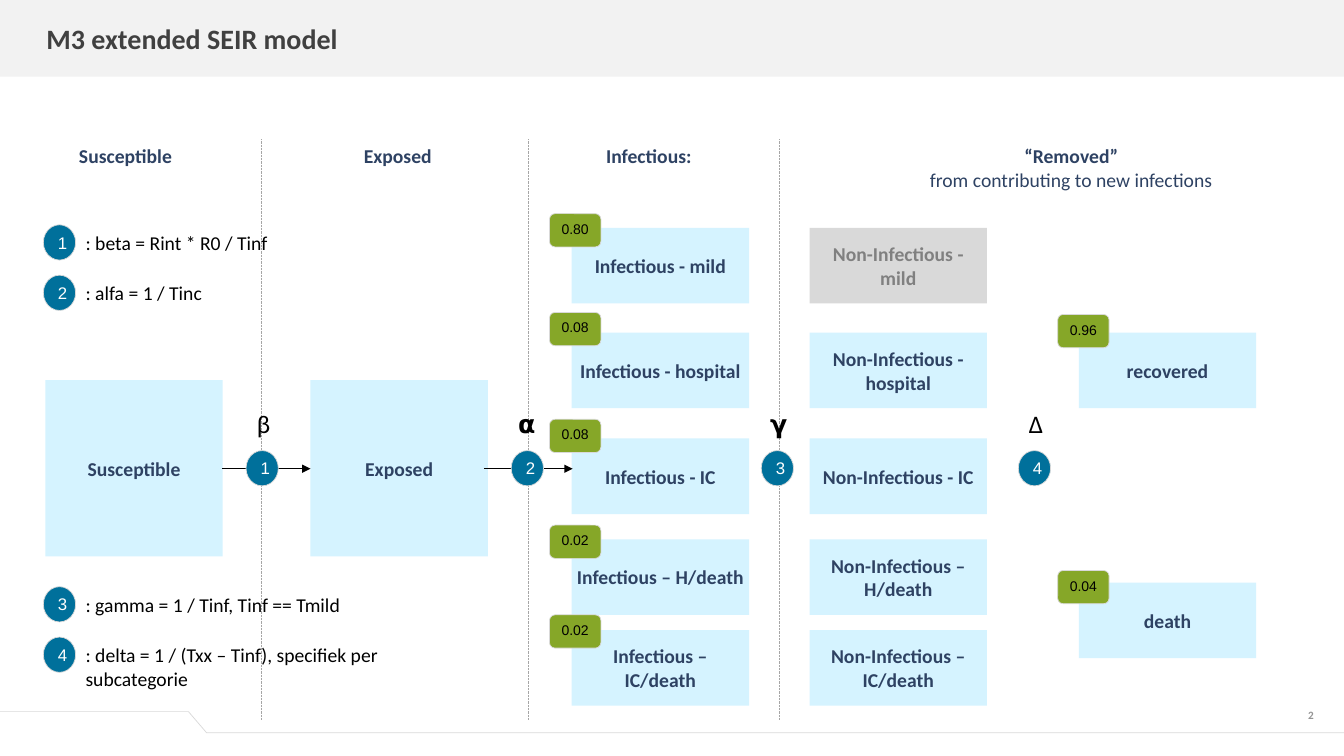
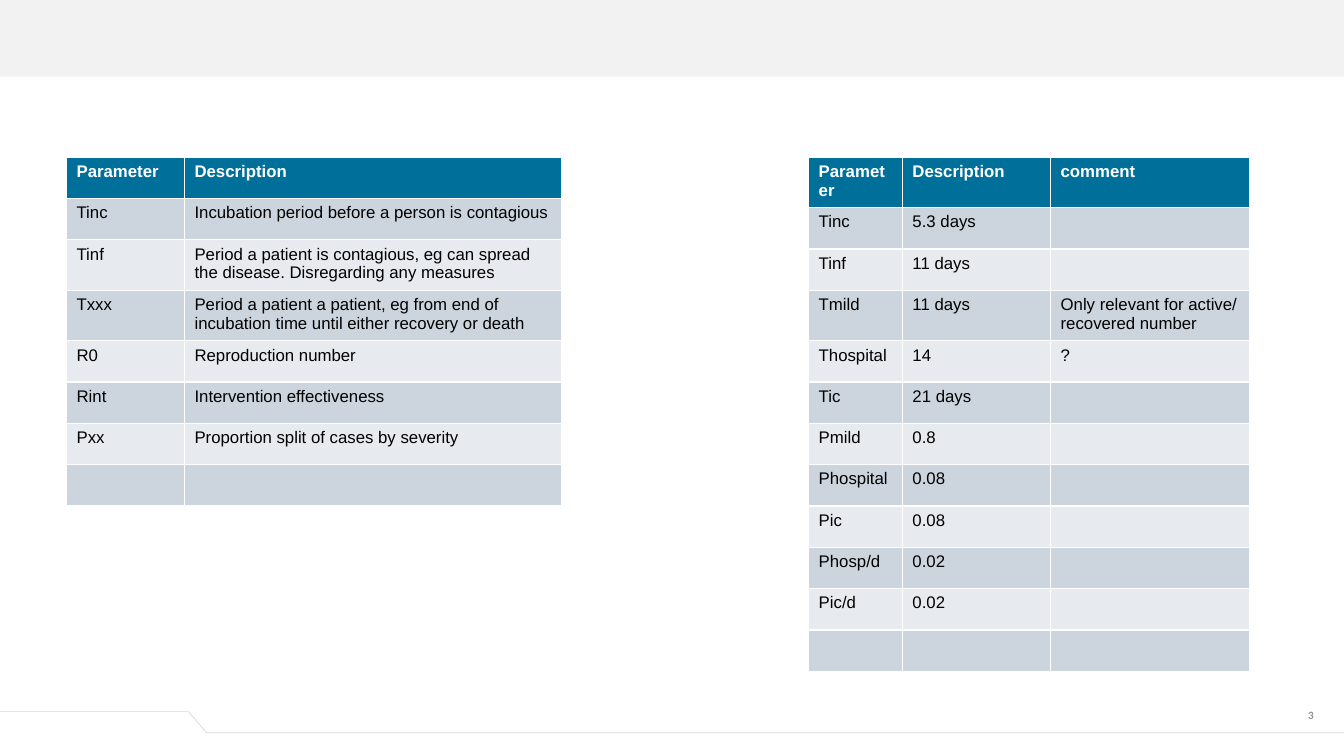
from dataclasses import dataclass

from lxml import etree
from pptx import Presentation
from pptx.dml.color import RGBColor
from pptx.enum.dml import MSO_LINE
from pptx.enum.shapes import MSO_CONNECTOR, MSO_SHAPE as Preset
from pptx.enum.text import MSO_ANCHOR as Anchor, PP_ALIGN as Align
from pptx.oxml.ns import qn
from pptx.util import Inches, Pt


@dataclass(frozen=True)
class Theme:
    white: RGBColor = RGBColor.from_string("FFFFFF")
    black: RGBColor = RGBColor.from_string("000000")
    band: RGBColor = RGBColor.from_string("F2F2F2")
    rule: RGBColor = RGBColor.from_string("D9D9D9")
    divider: RGBColor = RGBColor.from_string("A6A6A6")
    title: RGBColor = RGBColor.from_string("404040")
    number: RGBColor = RGBColor.from_string("949494")
    navy: RGBColor = RGBColor.from_string("2E4263")
    muted: RGBColor = RGBColor.from_string("808080")
    pale: RGBColor = RGBColor.from_string("D5F3FF")
    teal: RGBColor = RGBColor.from_string("00709B")
    green: RGBColor = RGBColor.from_string("86A728")
    odd_row: RGBColor = RGBColor.from_string("CCD5DE")
    even_row: RGBColor = RGBColor.from_string("E7EBEF")
    heading_font: str = "Calibri"
    body_font: str = "Arial"
    title_size: int = 20
    symbol_size: int = 18
    label_size: int = 14
    small_size: int = 12
    badge_size: int = 10
    number_size: int = 8
    thin: float = 0.5


theme = Theme()


@dataclass(frozen=True)
class Look:
    size: int
    color: RGBColor
    font: str = theme.heading_font
    bold: bool = False
    align: Align = Align.CENTER
    anchor: Anchor = Anchor.TOP
    margins: tuple = (0.1, 0.05, 0.1, 0.05)
    preset: Preset = None
    fill: RGBColor = None
    line: RGBColor = None


COMPARTMENT = dict(size=theme.label_size, bold=True, anchor=Anchor.MIDDLE,
                   margins=(0.04,) * 4, preset=Preset.RECTANGLE)
state_look = Look(color=theme.navy, fill=theme.pale, **COMPARTMENT)
muted_look = Look(color=theme.muted, fill=theme.rule, **COMPARTMENT)
heading_look = Look(theme.label_size, theme.navy, bold=True)
formula_look = Look(theme.label_size, theme.black, align=Align.LEFT)
symbol_look = Look(theme.symbol_size, theme.black)
circle_look = Look(theme.small_size, theme.white, theme.body_font, anchor=Anchor.MIDDLE,
                   preset=Preset.OVAL, fill=theme.teal, line=theme.rule)
badge_look = Look(theme.badge_size, theme.black, theme.body_font,
                  preset=Preset.ROUNDED_RECTANGLE, fill=theme.green, line=theme.rule)
number_look = Look(theme.number_size, theme.number, bold=True, align=Align.RIGHT,
                   margins=(0.1, 0.05, 0, 0.05))
band_look = Look(theme.label_size, theme.black, preset=Preset.RECTANGLE, fill=theme.band)


def add_box(slide, look, place, text=""):
    """Add a text box or preset shape and return its paragraph."""
    place = [Inches(value) for value in place]
    if look.preset is None:
        box = slide.shapes.add_textbox(*place)
    else:
        box = slide.shapes.add_shape(look.preset, *place)
        box.shadow.inherit = False
        box.fill.solid()
        box.fill.fore_color.rgb = look.fill
        if look.line is None:
            box.line.fill.background()
        else:
            box.line.color.rgb = look.line
            box.line.width = Pt(theme.thin)
    frame = box.text_frame
    frame.word_wrap = True
    frame.vertical_anchor = look.anchor
    (frame.margin_left, frame.margin_top,
     frame.margin_right, frame.margin_bottom) = map(Inches, look.margins)
    para = frame.paragraphs[0]
    para.text = text
    para.alignment = look.align
    para.font.name = look.font
    para.font.size = Pt(look.size)
    para.font.bold = look.bold
    para.font.color.rgb = look.color
    return para


def add_line(slide, start, end, color):
    """Add a thin straight connector without a shadow."""
    line = slide.shapes.add_connector(MSO_CONNECTOR.STRAIGHT, *map(Inches, start + end))
    line.line.color.rgb = color
    line.line.width = Pt(theme.thin)
    etree.SubElement(line.element.spPr, qn("a:effectLst"))
    return line


deck = Presentation()
deck.slide_width, deck.slide_height = Inches(13.33), Inches(7.5)
layout = deck.slide_layouts.get_by_name("Title Only")
model, parameters = [deck.slides.add_slide(layout) for _ in range(2)]

# Shared layout: title place, header band and footer outline
layout_title = layout.placeholders[0]
layout_title.left, layout_title.top = Inches(0.36), Inches(0)
layout_title.width, layout_title.height = Inches(12.03), Inches(0.76)

add_box(model, band_look, (0, 0, 13.33, 0.76))
builder = model.shapes.build_freeform(Inches(-0.04), Inches(7.06))
builder.add_line_segments(
    [(Inches(x), Inches(y)) for x, y in [(1.87, 7.06), (2.05, 7.27), (13.33, 7.27)]],
    close=False)
outline = builder.convert_to_shape()
outline.shadow.inherit = False
outline.fill.background()
outline.line.color.rgb = theme.rule
outline.line.width = Pt(theme.thin)
for position, shape in enumerate(list(model.shapes)[1:], start=2):
    layout.shapes.element.insert(position, shape.element)

# Page numbers
for number, slide in enumerate((model, parameters), start=2):
    add_box(slide, number_look, (12.29, 6.98, 0.74, 0.3), str(number))

# Model slide: title
title = model.shapes.title
title.text = "M3 extended SEIR model"
title_para = title.text_frame.paragraphs[0]
title_para.alignment = Align.LEFT
title_para.font.name = theme.heading_font
title_para.font.size = Pt(theme.title_size)
title_para.font.bold = True
title_para.font.color.rgb = theme.title

# Column dividers and headings
for x in (2.59, 5.24, 7.73):
    divider = add_line(model, (x, 1.38), (x, 7.14), theme.divider)
    divider.line.dash_style = MSO_LINE.ROUND_DOT

for x, width, text in [(0.45, 1.59, "Susceptible"), (3.15, 1.59, "Exposed"),
                       (5.64, 1.59, "Infectious:"), (9.01, 3.23, "“Removed”")]:
    heading = add_box(model, heading_look, (x, 1.38, width, 0.39), text)
heading.add_line_break()
span = heading.add_run()
span.text = "from contributing to new infections"
span.font.bold = False

# Compartments
for x, text in [(0.45, "Susceptible"), (3.08, "Exposed")]:
    add_box(model, state_look, (x, 3.77, 1.76, 1.75), text)

severities = [(2.26, "- mild"), (3.3, "- hospital"), (4.35, "- IC"),
              (5.35, "– H/death"), (6.25, "– IC/death")]
for y, severity in severities:
    add_box(model, state_look, (5.67, y, 1.76, 0.75), f"Infectious {severity}")
    removed_look = muted_look if severity == "- mild" else state_look
    add_box(model, removed_look, (8.03, y, 1.76, 0.75), f"Non-Infectious {severity}")

for y, text in [(3.3, "recovered"), (5.78, "death")]:
    add_box(model, state_look, (10.7, y, 1.76, 0.75), text)

# Transitions: arrows, numbered circles and rate symbols
for x in (2.2, 4.8):
    arrow = add_line(model, (x, 4.65), (x + 0.88, 4.65), theme.black)
    etree.SubElement(arrow.line._get_or_add_ln(), qn("a:tailEnd"), type="triangle")

transitions = [(2.44, 2.3, "β"), (5.07, 4.91, "𝝰"), (7.55, 7.41, "𝝲"), (10.1, 9.96, "Δ")]
for number, (circle_x, symbol_x, symbol) in enumerate(transitions, start=1):
    add_box(model, circle_look, (circle_x, 4.47, 0.32, 0.35), str(number))
    add_box(model, symbol_look, (symbol_x, 4, 0.63, 0.33), symbol)

# Rate formulas
formulas = [(2.23, ": beta = Rint * R0 / Tinf"),
            (2.73, ": alfa = 1 / Tinc"),
            (5.82, ": gamma = 1 / Tinf, Tinf == Tmild"),
            (6.32, ": delta = 1 / (Txx – Tinf), specifiek per subcategorie")]
for number, (y, formula) in enumerate(formulas, start=1):
    add_box(model, circle_look, (0.43, y, 0.32, 0.35), str(number))
    add_box(model, formula_look, (0.75, y + 0.01, 3.88, 0.33), formula)

# Proportion badges
for x, y, share in [(5.45, 2.12, "0.80"), (5.45, 3.1, "0.08"), (5.45, 4.16, "0.08"),
                    (5.45, 5.21, "0.02"), (5.45, 6.1, "0.02"),
                    (10.49, 3.12, "0.96"), (10.49, 5.66, "0.04")]:
    add_box(model, badge_look, (x, y, 0.51, 0.33), share)

# Parameter slide: no title, two tables
empty_title = parameters.shapes.title.element
empty_title.getparent().remove(empty_title)

definitions = [
    ("Parameter", "Description"),
    ("Tinc", "Incubation period before a person is contagious"),
    ("Tinf", "Period a patient is contagious, eg can spread the disease. "
             "Disregarding any measures"),
    ("Txxx", "Period a patient a patient, eg from end of incubation time "
             "until either recovery or death"),
    ("R0", "Reproduction number"),
    ("Rint", "Intervention effectiveness"),
    ("Pxx", "Proportion split of cases by severity"),
    ("", ""),
]
values = [
    ("Parameter", "Description", "comment"),
    ("Tinc", "5.3 days", ""),
    ("Tinf", "11 days", ""),
    ("Tmild", "11 days", "Only relevant for active/ recovered number"),
    ("Thospital", "14", "?"),
    ("Tic", "21 days", ""),
    ("Pmild", "0.8", ""),
    ("Phospital", "0.08", ""),
    ("Pic", "0.08", ""),
    ("Phosp/d", "0.02", ""),
    ("Pic/d", "0.02", ""),
    ("", "", ""),
]
row_height = 0.41
for left, widths, rows in [(0.66, (1.17, 3.74), definitions),
                           (8.02, (0.93, 1.47, 1.97), values)]:
    table = parameters.shapes.add_table(
        len(rows), len(widths), Inches(left), Inches(1.56),
        Inches(sum(widths)), Inches(row_height * len(rows))).table
    for column, width in zip(table.columns, widths):
        column.width = Inches(width)
    for row_index, row in enumerate(rows):
        is_header = row_index == 0
        row_fill = theme.odd_row if row_index % 2 else theme.even_row
        for column_index, text in enumerate(row):
            cell = table.cell(row_index, column_index)
            cell.fill.solid()
            cell.fill.fore_color.rgb = theme.teal if is_header else row_fill
            para = cell.text_frame.paragraphs[0]
            para.text = text
            para.font.name = theme.body_font
            para.font.size = Pt(theme.small_size)
            para.font.bold = is_header
            para.font.color.rgb = theme.white if is_header else theme.black

deck.save("out.pptx")
